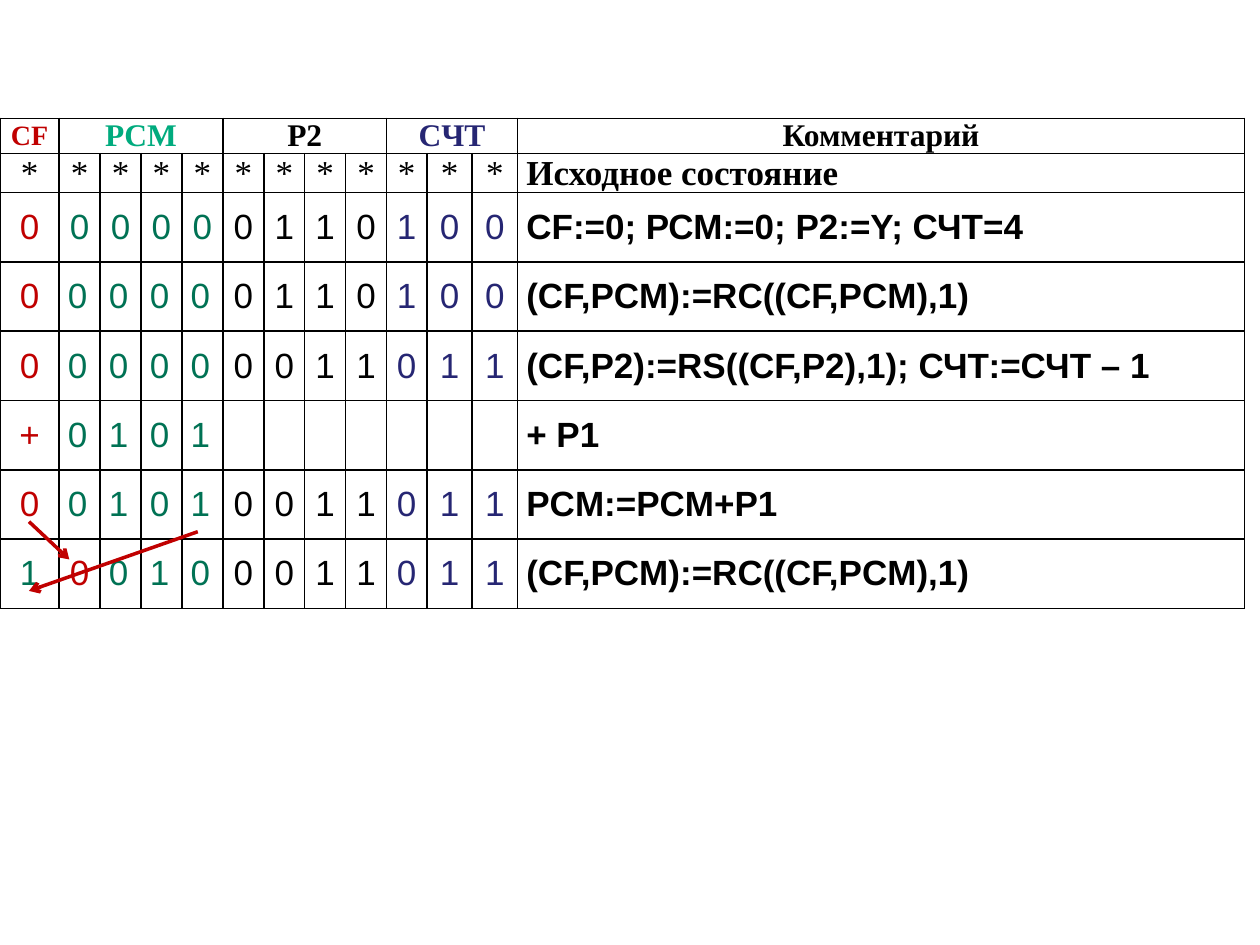
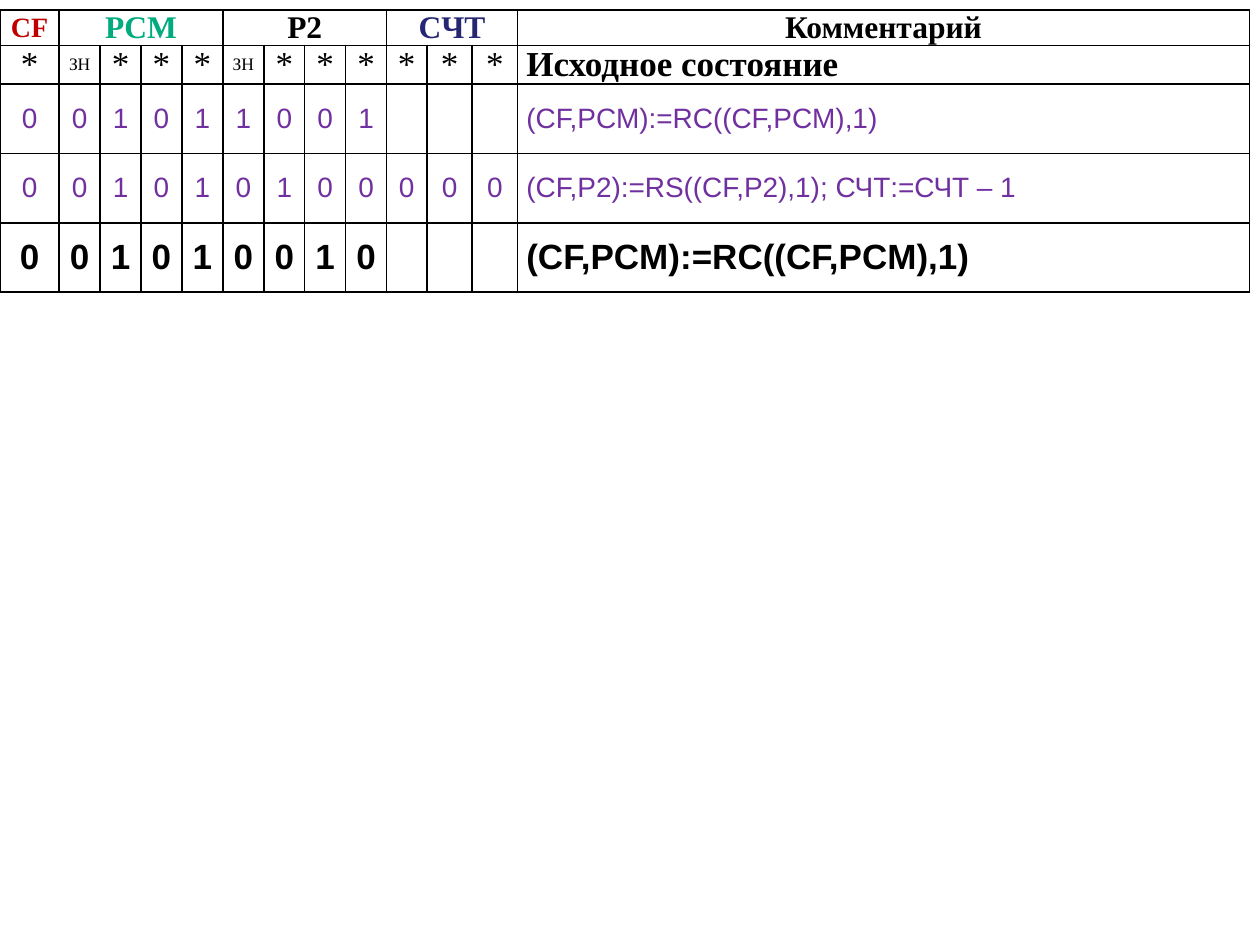
from dataclasses import dataclass
from itertools import chain

from lxml import etree
from pptx import Presentation
from pptx.dml.color import RGBColor
from pptx.enum.shapes import MSO_CONNECTOR
from pptx.enum.text import MSO_ANCHOR, PP_ALIGN
from pptx.oxml.ns import qn
from pptx.util import Inches, Pt

CENTER, LEFT = PP_ALIGN.CENTER, PP_ALIGN.LEFT
MIDDLE = MSO_ANCHOR.MIDDLE
STRAIGHT = MSO_CONNECTOR.STRAIGHT


@dataclass(frozen=True)
class Theme:
    serif: str = "Times New Roman"
    sans: str = "Arial"
    black: str = "000000"
    red: str = "C00000"
    mint: str = "00AB7E"
    green: str = "007254"
    navy: str = "262673"
    purple: str = "7030A0"
    tiny: int = 10
    small: int = 16
    head: int = 18
    body: int = 20


T = Theme()

# Register groups: name, colour, size, column widths
GROUPS = [
    ("CF", T.red, T.small, [0.47]),
    ("PCM", T.mint, T.head, [1.3 / 4] * 4),
    ("P2", T.black, T.head, [1.3 / 4] * 4),
    ("CЧТ", T.navy, T.head, [0.32, 0.36, 0.36]),
]
BIT_WIDTHS = list(chain.from_iterable(widths for *_, widths in GROUPS))
COMMENT_COL = len(BIT_WIDTHS)
HEAD_HEIGHT, STEP_HEIGHT = 0.28, 0.55

# One colour per bit column
BY_REGISTER = [T.red] + [T.green] * 4 + [T.black] * 4 + [T.navy] * 3
ROTATED = [T.green, T.red] + BY_REGISTER[2:]
ALL_PURPLE = [T.purple] * COMMENT_COL
ALL_BLACK = [T.black] * COMMENT_COL


@dataclass
class Step:
    """One row: bits per column, comment and how they are set."""
    bits: str
    comment: str
    colours: list
    left_cols: range = range(0)
    size: int = T.body
    bits_bold: bool = False
    comment_bold: bool = True
    comment_colour: str = T.black


PCM_COLS = range(1, 5)
SHIFT_PCM = "(CF,PCM):=RС((CF,PCM),1)"
SHIFT_P2 = "(CF,P2):=RS((CF,P2),1); СЧТ:=СЧТ – 1"

FIRST_STEPS = [
    Step("000000110100", "CF:=0; РСМ:=0; Р2:=Y; СЧТ=4", BY_REGISTER),
    Step("000000110100", SHIFT_PCM, BY_REGISTER, PCM_COLS),
    Step("000000011011", SHIFT_P2, BY_REGISTER, PCM_COLS),
    Step("+0101", "+ P1", BY_REGISTER, PCM_COLS),
    Step("001010011011", "PCM:=PCM+P1", BY_REGISTER, PCM_COLS),
    Step("100100011011", SHIFT_PCM, ROTATED, range(2, 5)),
]
PURPLE_STYLE = dict(colours=ALL_PURPLE, size=T.small, comment_bold=False,
                    comment_colour=T.purple)
LAST_STEPS = [
    Step("001011001", SHIFT_PCM, **PURPLE_STYLE),
    Step("001010100000", SHIFT_P2, **PURPLE_STYLE),
    Step("001010010", SHIFT_PCM, ALL_BLACK, bits_bold=True),
]


def write(cell, text, font, size, colour, bold=False, align=CENTER):
    p = cell.text_frame.paragraphs[0]
    p.alignment = align
    p.space_after = Pt(3)
    r = p.add_run()
    r.text = text
    r.font.name = font
    r.font.size = Pt(size)
    r.font.bold = bold
    r.font.color.rgb = RGBColor.from_string(colour)


def format_cell(cell):
    """Plain cell with narrow insets and a 1 pt black border."""
    cell.vertical_anchor = MIDDLE
    cell.margin_left = cell.margin_right = Inches(0.07)
    cell.margin_top = cell.margin_bottom = 0
    tcPr = cell._tc.get_or_add_tcPr()
    for side in ("a:lnL", "a:lnR", "a:lnT", "a:lnB"):
        ln = etree.SubElement(tcPr, qn(side), w=str(Pt(1)))
        solid = etree.SubElement(ln, qn("a:solidFill"))
        etree.SubElement(solid, qn("a:srgbClr"), val=T.black)
    cell.fill.background()


def fill_header(table, sign_cols):
    # Register names over their columns
    col = 0
    for name, colour, size, widths in GROUPS:
        cell = table.cell(0, col)
        if len(widths) > 1:
            cell.merge(table.cell(0, col + len(widths) - 1))
        write(cell, name, T.serif, size, colour, True)
        col += len(widths)
    write(table.cell(0, COMMENT_COL), "Комментарий", T.serif, T.head,
          T.black, True)

    # Initial state: unknown bits, with sign bits where they are marked
    for col in range(COMMENT_COL):
        text, size = ("ЗН", T.tiny) if col in sign_cols else ("*", T.body)
        write(table.cell(1, col), text, T.serif, size, T.black)
    write(table.cell(1, COMMENT_COL), "Исходное состояние", T.serif, T.body,
          T.black, True, LEFT)


def fill_step(table, row, step):
    for col, (bit, colour) in enumerate(zip(step.bits, step.colours)):
        align = LEFT if col in step.left_cols else CENTER
        write(table.cell(row, col), bit, T.sans, step.size, colour,
              step.bits_bold, align)
    write(table.cell(row, COMMENT_COL), step.comment, T.sans, step.size,
          step.comment_colour, step.comment_bold, LEFT)


def add_trace_table(s, left, top, width, steps, sign_cols=()):
    heights = [HEAD_HEIGHT] * 2 + [STEP_HEIGHT] * len(steps)
    widths = BIT_WIDTHS + [width - sum(BIT_WIDTHS)]
    frame = s.shapes.add_table(len(heights), len(widths), Inches(left),
                               Inches(top), Inches(width),
                               Inches(sum(heights)))
    table = frame.table
    table.first_row = table.horz_banding = False
    for column, size in zip(table.columns, widths):
        column.width = Inches(size)
    for row, size in zip(table.rows, heights):
        row.height = Inches(size)
    for cell in table.iter_cells():
        format_cell(cell)
    fill_header(table, sign_cols)
    for row, step in enumerate(steps, start=2):
        fill_step(table, row, step)


def add_rotation_arrows(s, left, top):
    """Bits moving between CF and PCM, measured from the table corner."""
    for x1, y1, x2, y2 in [(1.57, 3.28, 0.23, 3.75), (0.23, 3.2, 0.55, 3.5)]:
        line = s.shapes.add_connector(
            STRAIGHT, Inches(left + x1), Inches(top + y1),
            Inches(left + x2), Inches(top + y2))
        line.line.color.rgb = RGBColor.from_string(T.red)
        line.line.width = Pt(2)
        etree.SubElement(line.line._get_or_add_ln(), qn("a:tailEnd"),
                         type="arrow")
        etree.SubElement(line._element.spPr, qn("a:effectLst"))


def main():
    prs = Presentation()
    prs.slide_width, prs.slide_height = Inches(10), Inches(7.5)
    blank = prs.slide_layouts[6]

    # First steps of the multiplication
    s = prs.slides.add_slide(blank)
    left, top = 0, 0.94
    add_trace_table(s, left, top, 9.88, FIRST_STEPS)
    add_rotation_arrows(s, left, top)

    # Last steps, with sign bits marked
    s = prs.slides.add_slide(blank)
    add_trace_table(s, 0, 0.08, 9.92, LAST_STEPS, sign_cols=(1, 5))

    prs.save("out.pptx")


if __name__ == "__main__":
    main()
